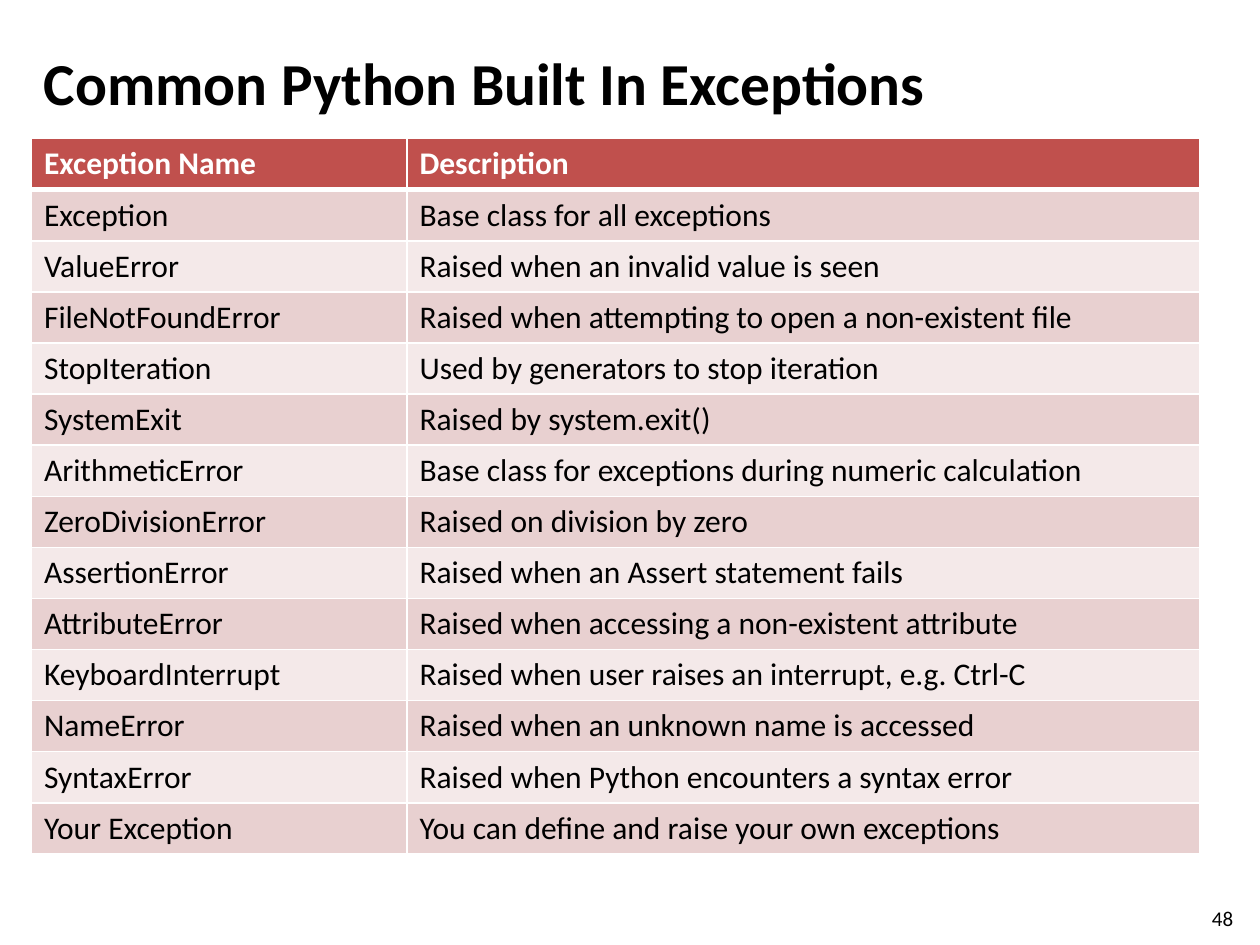
from lxml import etree
from pptx import Presentation
from pptx.dml.color import RGBColor
from pptx.enum.text import MSO_ANCHOR
from pptx.oxml.ns import qn
from pptx.util import Inches, Pt

MIDDLE = MSO_ANCHOR.MIDDLE
FONT = "Calibri"
BLACK = RGBColor(0x00, 0x00, 0x00)
WHITE = RGBColor(0xFF, 0xFF, 0xFF)
RED = RGBColor(0xC0, 0x50, 0x4D)
BANDS = (RGBColor(0xE8, 0xD0, 0xD0), RGBColor(0xF4, 0xE9, 0xE9))

LEFT = 0.25
COLS = (2.98, 6.29)
ROW = 5.68 / 14

ROWS = (
    ("Exception Name", "Description"),
    ("Exception", "Base class for all exceptions"),
    ("ValueError", "Raised when an invalid value is seen"),
    ("FileNotFoundError", "Raised when attempting to open a non-existent file"),
    ("StopIteration", "Used by generators to stop iteration"),
    ("SystemExit", "Raised by system.exit()"),
    ("ArithmeticError", "Base class for exceptions during numeric calculation"),
    ("ZeroDivisionError", "Raised on division by zero"),
    ("AssertionError", "Raised when an Assert statement fails"),
    ("AttributeError", "Raised when accessing a non-existent attribute"),
    ("KeyboardInterrupt", "Raised when user raises an interrupt, e.g. Ctrl-C"),
    ("NameError", "Raised when an unknown name is accessed"),
    ("SyntaxError", "Raised when Python encounters a syntax error"),
    ("Your Exception", "You can define and raise your own exceptions"),
)


def style(frame, size, color=BLACK, bold=False):
    font = frame.paragraphs[0].font
    font.name, font.size, font.bold = FONT, Pt(size), bold
    font.color.rgb = color


def add_text(slide, text, box, size, bold=False):
    frame = slide.shapes.add_textbox(*map(Inches, box)).text_frame
    frame.word_wrap = True
    frame.vertical_anchor = MIDDLE
    frame.margin_top = frame.margin_bottom = 0
    frame.text = text
    style(frame, size, bold=bold)


def add_edges(cell, top, bottom):
    """Draw white borders; top and bottom are widths in points."""
    props = cell._tc.get_or_add_tcPr()
    for side, width in (("L", 1), ("R", 1), ("T", top), ("B", bottom)):
        line = etree.SubElement(props, qn(f"a:ln{side}"), w=str(Pt(width)))
        fill = etree.SubElement(line, qn("a:solidFill"))
        etree.SubElement(fill, qn("a:srgbClr"), val=str(WHITE))


def fill_cell(cell, text, row):
    head = row == 0
    add_edges(cell, 3 if row == 1 else 1, 3 if head else 1)
    cell.fill.solid()
    cell.fill.fore_color.rgb = RED if head else BANDS[(row - 1) % 2]
    cell.text = text
    style(cell.text_frame, 18, WHITE if head else BLACK, head)


def add_grid(slide, top):
    box = map(Inches, (LEFT, top, sum(COLS), ROW * len(ROWS)))
    table = slide.shapes.add_table(len(ROWS), len(COLS), *box).table
    for col, width in zip(table.columns, COLS):
        col.width = Inches(width)
    for r, texts in enumerate(ROWS):
        table.rows[r].height = Inches(ROW)
        for c, text in enumerate(texts):
            fill_cell(table.cell(r, c), text, r)


def main():
    deck = Presentation()
    deck.slide_width, deck.slide_height = Inches(10), Inches(7.5)
    slide = deck.slides.add_slide(deck.slide_layouts[6])
    add_text(slide, "Common Python Built In Exceptions", (LEFT, 0.3, 8.67, 0.7), 34, True)
    add_text(slide, "48", (9.52, 7.17, 0.4, 0.24), 12)
    add_grid(slide, 1.1)
    deck.save("out.pptx")


if __name__ == "__main__":
    main()
